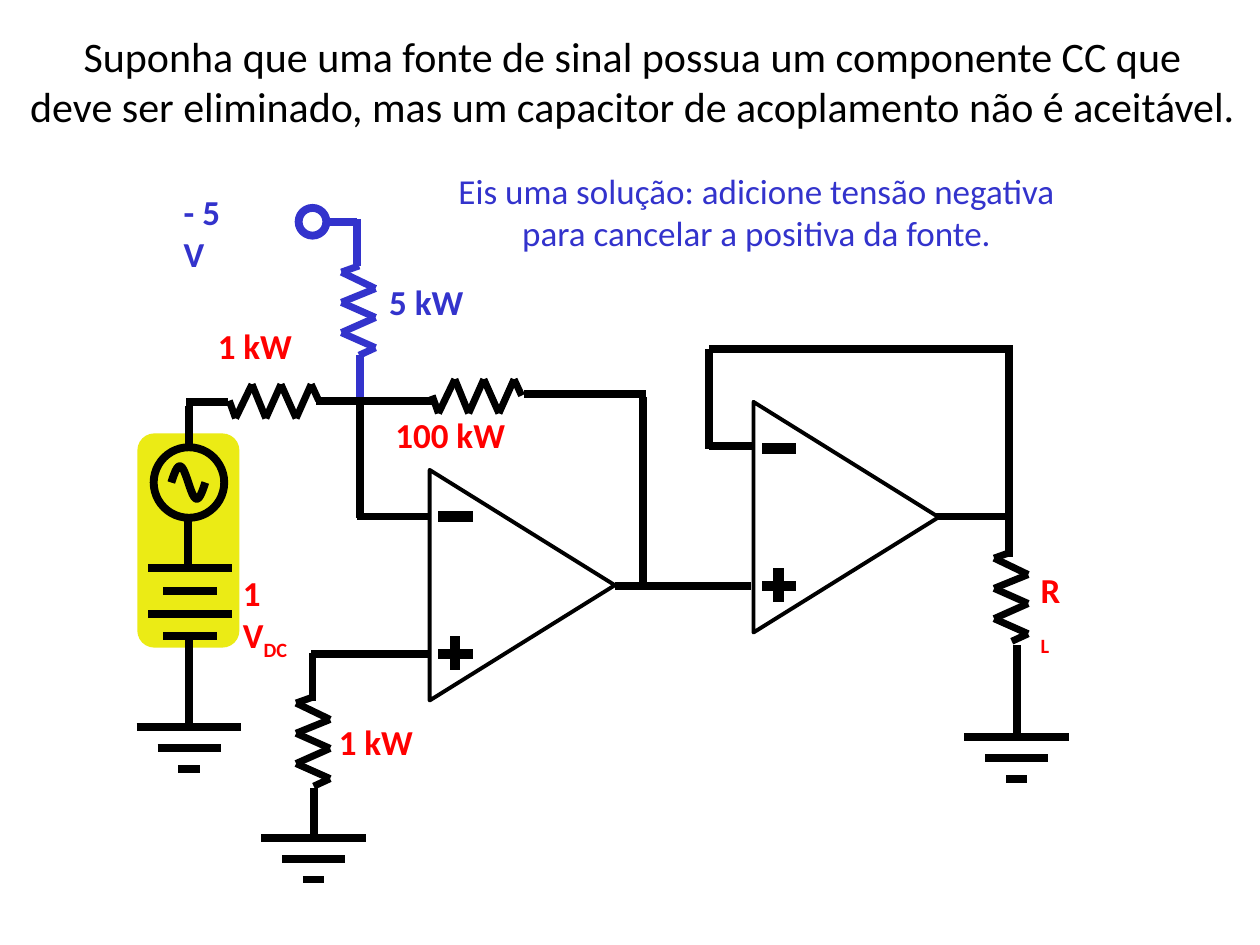
from math import pi, sin

from lxml.etree import SubElement
from pptx import Presentation
from pptx.dml.color import RGBColor
from pptx.enum.shapes import MSO_CONNECTOR as LINK, MSO_SHAPE as SHAPE
from pptx.enum.text import MSO_ANCHOR as ANCHOR, MSO_AUTO_SIZE as FIT, PP_ALIGN as ALIGN
from pptx.oxml.ns import qn
from pptx.util import Inches, Pt

BLACK = RGBColor(0x00, 0x00, 0x00)
BLUE = RGBColor(0x33, 0x33, 0xCC)
RED = RGBColor(0xFF, 0x00, 0x00)
YELLOW = RGBColor(0xEB, 0xEB, 0x15)

WIRE, THIN, SIGN, OUTLINE = 4.5, 4, 6, 2.25
ZIGZAG = [(0, 0.13), (0.05, 0.27), (0.18, 0), (0.29, 0.27),
          (0.41, 0), (0.53, 0.27), (0.65, 0), (0.71, 0.13)]


def add_line(page, x1, y1, x2, y2, width=WIRE, color=BLACK):
    """Draw one straight line."""
    line = page.shapes.add_connector(
        LINK.STRAIGHT, Inches(x1), Inches(y1), Inches(x2), Inches(y2))
    line.line.width = Pt(width)
    line.line.color.rgb = color
    SubElement(line._element.spPr, qn("a:effectLst"))


def add_lines(page, segments, width=WIRE, color=BLACK):
    """Draw several straight lines of one style."""
    for segment in segments:
        add_line(page, *segment, width, color)


def style_outline(shape, width=WIRE, color=BLACK):
    """Leave a shape hollow with a plain outline."""
    shape.shadow.inherit = False
    shape.fill.background()
    shape.line.width = Pt(width)
    shape.line.color.rgb = color


def fill_text(box, paragraphs, align=ALIGN.LEFT, fit=FIT.SHAPE_TO_FIT_TEXT, **style):
    """Write paragraphs of (text, baseline) runs in one style."""
    frame = box.text_frame
    frame.word_wrap = False
    frame.auto_size = fit
    frame.vertical_anchor = ANCHOR.TOP
    for index, runs in enumerate(paragraphs):
        para = frame.add_paragraph() if index else frame.paragraphs[0]
        para.alignment = align
        for text, baseline in runs:
            span = para.add_run()
            span.text = text
            span.font.color.rgb = style["color"]
            values = {"name": "Calibri", "size": Pt(style["size"]), "bold": style["bold"]}
            for name, value in values.items():
                setattr(span.font, name, value)
            if baseline:
                span._r.get_or_add_rPr().set("baseline", str(baseline * 1000))


def add_label(page, left, top, width, height, text, subscript="", color=RED):
    """Add a bold component label, with an optional subscript."""
    box = page.shapes.add_textbox(*map(Inches, (left, top, width, height)))
    runs = [(text, 0)] + ([(subscript, -25)] if subscript else [])
    fill_text(box, [runs], size=20, bold=True, color=color)


def add_resistor(page, left, top, vertical=True, color=BLACK):
    """Draw a zigzag resistor with its corner at left, top."""
    points = [(left + 0.27 - across, top + along) if vertical
              else (left + along, top + across) for along, across in ZIGZAG]
    add_lines(page, [start + end for start, end in zip(points, points[1:])], THIN, color)


def add_ground(page, center, top, stem):
    """Draw a ground symbol below a vertical stem."""
    for index, width in enumerate((0.83, 0.5, 0.17)):
        y = top + index * 0.165
        add_line(page, center - width / 2, y, center + width / 2, y)
    add_line(page, center, top - stem, center, top)


def add_amplifier(page, left, top):
    """Draw an operational amplifier with its input signs."""
    width, height = 1.47, 1.83
    shift = (height - width) / 2
    body = page.shapes.add_shape(
        SHAPE.ISOSCELES_TRIANGLE, Inches(left - shift), Inches(top + shift),
        Inches(height), Inches(width))
    body.rotation = 90
    style_outline(body, OUTLINE)
    add_lines(page, [
        (left + 0.07, top + 0.37, left + 0.34, top + 0.37),
        (left + 0.07, top + 1.46, left + 0.34, top + 1.46),
        (left + 0.2, top + 1.32, left + 0.2, top + 1.59),
    ], SIGN)


def add_circle(page, left, top, size, color=BLACK):
    """Draw a hollow circle."""
    circle = page.shapes.add_shape(
        SHAPE.OVAL, *map(Inches, (left, top, size, size)))
    style_outline(circle, color=color)


def add_source(page, left, top):
    """Draw the signal source with its battery on a coloured panel."""
    panel = page.shapes.add_shape(
        SHAPE.ROUNDED_RECTANGLE, *map(Inches, (left, top, 0.81, 1.7)))
    panel.shadow.inherit = False
    panel.fill.solid()
    panel.fill.fore_color.rgb = YELLOW
    panel.line.fill.background()
    add_circle(page, left + 0.13, top + 0.11, 0.56)
    x, y, steps = left + 0.27, top + 0.39, 24
    points = [(Inches(x + 0.27 * step / steps),
               Inches(y - 0.13 * sin(2 * pi * step / steps)))
              for step in range(steps + 1)]
    wave = page.shapes.build_freeform(*points[0])
    wave.add_line_segments(points[1:], close=False)
    style_outline(wave.convert_to_shape())
    add_line(page, left + 0.4, top + 0.68, left + 0.4, top + 1.07)
    for index, width in enumerate((0.67, 0.43, 0.67, 0.43)):
        plate = top + 1.07 + index * 0.18
        middle = left + 0.42
        add_line(page, middle - width / 2, plate, middle + width / 2, plate)


def add_offset_branch(page, left, top):
    """Draw the negative supply branch and its explanation."""
    add_circle(page, left + 1.01, top + 0.19, 0.22, BLUE)
    add_lines(page, [
        (left + 1.24, top + 0.3, left + 1.47, top + 0.3),
        (left + 1.47, top + 0.28, left + 1.47, top + 0.65),
        (left + 1.5, top + 1.36, left + 1.5, top + 1.73),
    ], color=BLUE)
    add_resistor(page, left + 1.35, top + 0.65, color=BLUE)
    add_label(page, left, top, 0.71, 0.44, "- 5 V", color=BLUE)
    add_label(page, left + 1.63, top + 0.72, 0.79, 0.44, "5 kW", color=BLUE)
    note = page.shapes.add_textbox(
        Inches(left + 2.17), Inches(top - 0.16), Inches(4.95), Inches(0.77))
    fill_text(note, [[("Eis uma solução: adicione tensão negativa", 0)],
                     [("para cancelar a positiva da fonte.", 0)]],
              ALIGN.CENTER, size=20, bold=False, color=BLUE)


def add_input_stage(page, left, top):
    """Draw the source, the first amplifier and its resistors."""
    add_source(page, left, top)
    add_ground(page, left + 0.41, top + 2.33, 0.73)
    add_amplifier(page, left + 2.32, top + 0.29)
    for x, y, vertical in ((0.73, -0.39, False), (2.34, -0.43, False), (1.26, 2.09, True)):
        add_resistor(page, left + x, top + y, vertical)
    add_ground(page, left + 1.4, top + 3.21, 0.4)
    wires = [(0.41, -0.22, 0.41, 0.1), (0.39, -0.25, 0.72, -0.25),
             (1.42, -0.26, 2.35, -0.26), (1.77, -0.24, 1.77, 0.67),
             (1.74, 0.66, 2.32, 0.66), (3.07, -0.31, 4.04, -0.31),
             (4.01, -0.29, 4.01, 1.2), (3.79, 1.21, 4.87, 1.21),
             (2.32, 1.75, 1.38, 1.75), (1.39, 1.74, 1.39, 2.12)]
    add_lines(page, [(left + x1, top + y1, left + x2, top + y2)
                     for x1, y1, x2, y2 in wires])
    add_label(page, left + 0.54, top - 0.91, 0.79, 0.44, "1 kW")
    add_label(page, left + 1.95, top - 0.21, 1.07, 0.44, "100 kW")
    add_label(page, left + 1.5, top + 2.23, 0.79, 0.44, "1 kW")
    add_label(page, left + 0.74, top + 1.05, 0.75, 0.48, "1 V", "DC")


def add_output_stage(page, left, top):
    """Draw the follower amplifier and its load."""
    add_amplifier(page, left + 0.35, top + 0.42)
    wires = [(0, 0, 2.41, 0), (0, 0, 0, 0.79), (0, 0.77, 0.34, 0.77),
             (1.79, 1.33, 2.38, 1.33), (2.38, 0.02, 2.38, 1.65)]
    add_lines(page, [(left + x1, top + y1, left + x2, top + y2)
                     for x1, y1, x2, y2 in wires])
    add_resistor(page, left + 2.26, top + 1.61)
    add_ground(page, left + 2.44, top + 3.08, 0.73)
    add_label(page, left + 2.53, top + 1.69, 0.42, 0.48, "R", "L")


def set_title(page, left, top, width, height):
    """Place and write the slide title."""
    title = page.shapes.title
    values = {"left": left, "top": top, "width": width, "height": height}
    for name, value in values.items():
        setattr(title, name, Inches(value))
    fill_text(title, [
        [("Suponha que uma fonte de sinal possua um componente CC que", 0)],
        [("deve ser eliminado, mas um capacitor de acoplamento não é aceitável.", 0)],
    ], ALIGN.CENTER, FIT.NONE, size=24, bold=False, color=BLACK)


def main():
    """Build the deck and save it."""
    deck = Presentation()
    deck.slide_width, deck.slide_height = Inches(10), Inches(7.5)
    page = deck.slides.add_slide(deck.slide_layouts[5])
    set_title(page, 0.12, 0.19, 9.8, 0.9)
    add_offset_branch(page, 1.36, 1.46)
    add_input_stage(page, 1.09, 3.44)
    add_output_stage(page, 5.63, 2.77)
    deck.save("out.pptx")


if __name__ == "__main__":
    main()
